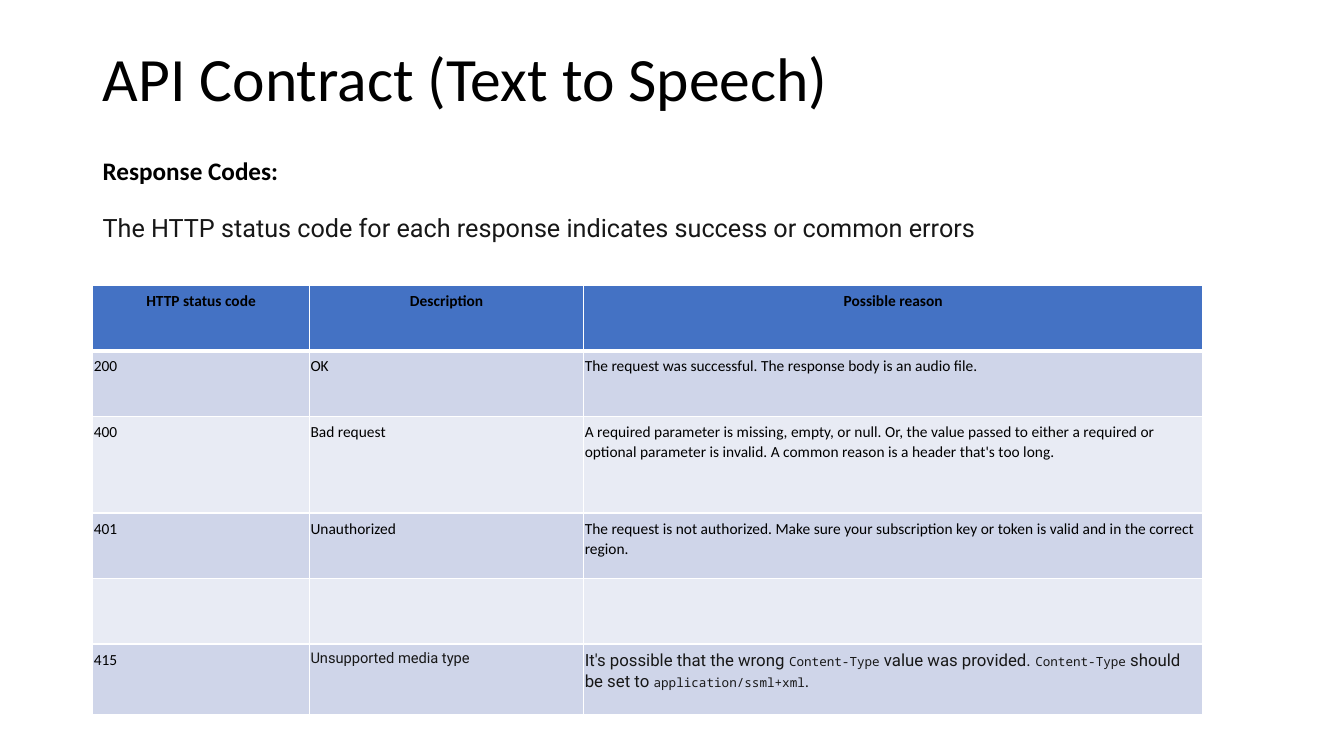
from lxml.etree import SubElement
from pptx import Presentation
from pptx.dml.color import RGBColor
from pptx.enum.text import MSO_ANCHOR, MSO_AUTO_SIZE, PP_ALIGN
from pptx.oxml.ns import qn
from pptx.util import Inches, Pt

TITLE = "API Contract (Text to Speech)"
INTRO = [  # text, font, colour, bold
    ("Response Codes:", "Calibri", "000000", True),
    ("The HTTP status code for each response indicates success or common errors",
     "Roboto", "171717", False),
]
# Backticks mark code
ROWS = [
    ("HTTP status code", "Description", "Possible reason"),
    ("200", "OK", "The request was successful. The response body is an audio file."),
    ("400", "Bad request",
     "A required parameter is missing, empty, or null. Or, the value passed to either "
     "a required or optional parameter is invalid. A common reason is a header that's "
     "too long."),
    ("401", "Unauthorized",
     "The request is not authorized. Make sure your subscription key or token is valid "
     "and in the correct region."),
    ("", "", ""),
    ("415", "Unsupported media type",
     "It's possible that the wrong\u00a0`Content-Type`\u00a0value was provided.\u00a0"
     "`Content-Type`\u00a0should be set to\u00a0`application/ssml+xml`."),
]
COL_WIDTHS = [2.15, 2.72, 6.14]
ROW_HEIGHTS = [0.65, 0.65, 0.96, 0.65, 0.65, 0.7]
HEADER_FILL, BANDS = "4472C4", ("E8EBF4", "CFD5E9")
CELL_STYLE = (11, "Calibri", "000000")
SPECIAL_STYLES = {(5, 1): (10.5, "Roboto", "171717"), (5, 2): (12, "Roboto", "171717")}
LEFT = 0.92


def rgb(value):
    """Turn a hex string into a colour."""
    return RGBColor.from_string(value)


def style(font, size, name, color, bold=False):
    """Set size, typeface, colour and weight of a font."""
    font.size, font.name, font.bold = Pt(size), name, bold
    font.color.rgb = rgb(color)


def add_borders(cell, bottom):
    """Draw white cell borders, with the given bottom width in points."""
    tc_pr = cell._tc.get_or_add_tcPr()
    for side, width in (("L", 0.96), ("R", 0.96), ("T", 0.96), ("B", bottom)):
        line = SubElement(tc_pr, qn(f"a:ln{side}"), w=str(int(Pt(width))))
        SubElement(SubElement(line, qn("a:solidFill")), qn("a:srgbClr"), val="FFFFFF")


def fill_cell(cell, text, row, col):
    """Format one table cell and write its text, with code in monospace."""
    header = row == 0
    add_borders(cell, 3 if header else 0.96)
    cell.fill.solid()
    cell.fill.fore_color.rgb = rgb(HEADER_FILL if header else BANDS[row % 2])
    if not text:
        return
    cell.margin_left = cell.margin_right = Inches(0.01)
    cell.margin_top = cell.margin_bottom = Inches(0.05)
    p = cell.text_frame.paragraphs[0]
    p.alignment = PP_ALIGN.CENTER if header else PP_ALIGN.LEFT
    p.line_spacing, p.space_after = 1.07, Pt(8)
    size, name, color = SPECIAL_STYLES.get((row, col), CELL_STYLE)
    for i, part in enumerate(text.split("`")):
        r = p.add_run()
        r.text = part
        if i % 2:
            style(r.font, 9, "Noto Sans Mono", color)
        else:
            style(r.font, size, name, color, header)


def add_title(s):
    """Place and format the slide title."""
    sp = s.shapes.title
    sp.left, sp.top, sp.width, sp.height = map(Inches, (LEFT, 0.4, 11.5, 0.82))
    tf = sp.text_frame
    tf.text = TITLE
    tf.auto_size, tf.vertical_anchor = MSO_AUTO_SIZE.NONE, MSO_ANCHOR.MIDDLE
    p = tf.paragraphs[0]
    p.alignment, p.line_spacing = PP_ALIGN.LEFT, 0.9
    style(p.font, 44, "Calibri", "000000")


def add_intro(s):
    """Write the lines above the table."""
    tf = s.shapes.add_textbox(*map(Inches, (LEFT, 1.47, 11.8, 1.3))).text_frame
    tf.word_wrap = True
    for i, (text, name, color, bold) in enumerate(INTRO):
        p = tf.add_paragraph() if i else tf.paragraphs[0]
        p.text = text
        p.line_spacing, p.space_before, p.space_after = 1.07, Pt(10), Pt(8)
        style(p.font, 18, name, color, bold)


def add_codes_table(s):
    """Build the table of response codes."""
    table = s.shapes.add_table(
        len(ROWS), len(COL_WIDTHS), Inches(LEFT), Inches(2.83),
        Inches(sum(COL_WIDTHS)), Inches(sum(ROW_HEIGHTS))).table
    for column, width in zip(table.columns, COL_WIDTHS):
        column.width = Inches(width)
    for i, (height, texts) in enumerate(zip(ROW_HEIGHTS, ROWS)):
        table.rows[i].height = Inches(height)
        for j, text in enumerate(texts):
            fill_cell(table.cell(i, j), text, i, j)


prs = Presentation()
prs.slide_width, prs.slide_height = Inches(13.33), Inches(7.5)
s = prs.slides.add_slide(prs.slide_layouts[5])
add_title(s)
add_intro(s)
add_codes_table(s)
prs.save("out.pptx")
